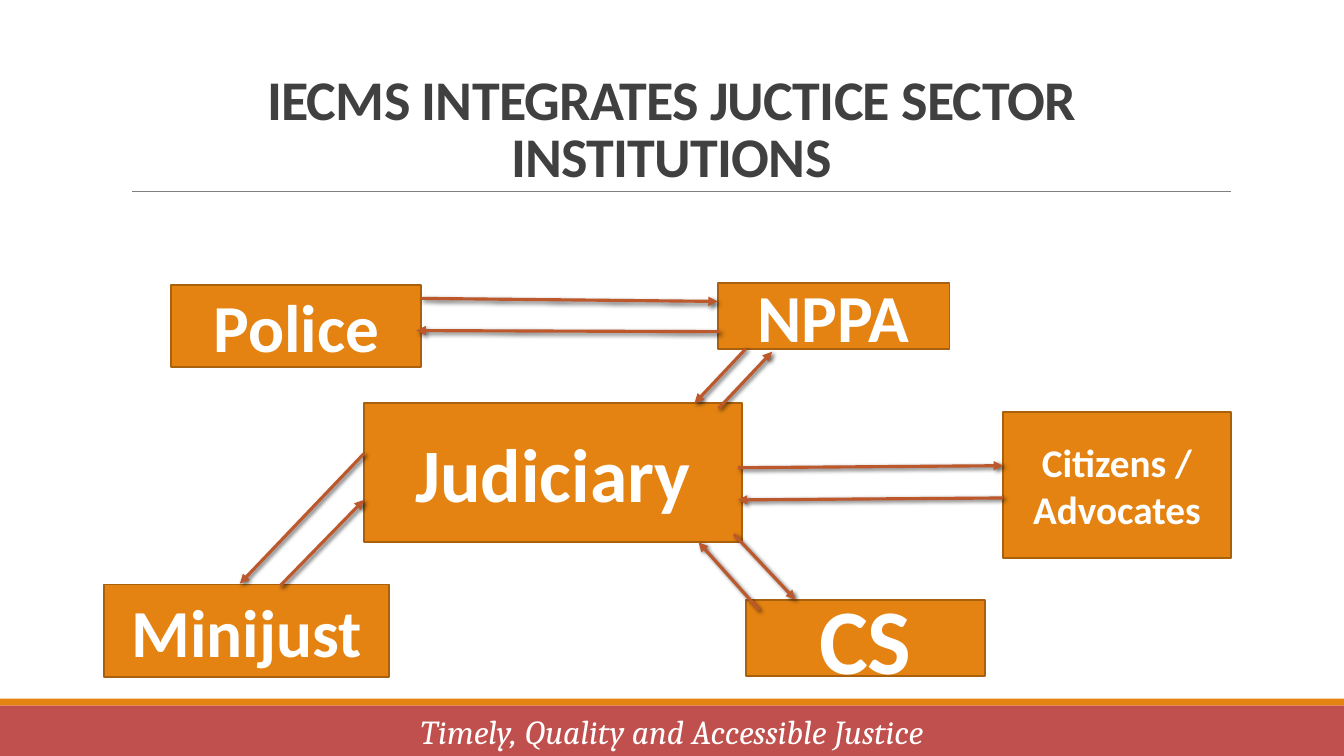
from lxml.etree import SubElement
from pptx import Presentation
from pptx.dml.color import RGBColor
from pptx.enum.shapes import MSO_CONNECTOR, MSO_SHAPE
from pptx.enum.text import MSO_ANCHOR, PP_ALIGN
from pptx.oxml.ns import qn
from pptx.util import Inches, Pt

COLORS = {
    "orange": "E48312", "edge": "A9610D", "arrow": "BD582C", "red": "C0504D",
    "rule": "808080", "title": "404040", "white": "FFFFFF", "shadow": "000000",
}

INSTITUTIONS = [
    ("Police", (12.75, 37.73, 18.6, 10.8), 48),
    ("NPPA", (53.4, 37.47, 17.25, 8.67), 48),
    ("Judiciary", (27.08, 53.33, 28.13, 18.4), 54),
    ("Minijust", (7.73, 77.33, 21.23, 12.27), 48),
    ("CS", (55.5, 79.33, 17.78, 10.13), 66),
    ("Citizens / Advocates", (74.63, 54.53, 16.95, 19.33), 28),
]

EXCHANGES = [
    ((31.35, 39.47), (53.4, 39.87)),
    ((53.48, 43.87), (30.98, 43.73)),
    ((55.5, 46.13), (51.68, 53.33)),
    ((53.48, 54), (57.45, 46.53)),
    ((27.08, 60), (17.85, 77.2)),
    ((20.85, 77.47), (27.08, 66.13)),
    ((54.6, 70.67), (59.18, 79.33)),
    ((56.48, 80.67), (51.98, 71.73)),
    ((54.9, 61.87), (74.63, 61.6)),
    ((74.63, 65.87), (54.9, 66.13)),
]


class SlideBuilder:
    columns = rows = 100

    def __init__(self, prs):
        self.s = prs.slides.add_slide(prs.slide_layouts[6])
        self.column = prs.slide_width / self.columns
        self.row = prs.slide_height / self.rows

    def grid(self, *lengths):
        units = (self.column, self.row) * 2
        return [round(n * unit) for n, unit in zip(lengths, units)]

    def color(self, name):
        return RGBColor.from_string(COLORS[name])

    def add_text(self, sp, text, size, color="white", font="Calibri",
                 bold=True, italic=False, anchor=MSO_ANCHOR.MIDDLE):
        tf = sp.text_frame
        tf.word_wrap = True
        tf.vertical_anchor = anchor
        p = tf.paragraphs[0]
        p.alignment = PP_ALIGN.CENTER
        r = p.add_run()
        r.text = text
        r.font.name = font
        r.font.size = Pt(size)
        r.font.bold = bold
        r.font.italic = italic
        r.font.color.rgb = self.color(color)
        return p, r

    def title(self, text, box):
        sp = self.s.shapes.add_textbox(*self.grid(*box))
        p, r = self.add_text(sp, text, 40, "title", anchor=MSO_ANCHOR.TOP)
        p.line_spacing = 0.85
        r.font._element.set("spc", "-50")

    def rectangle(self, box, fill, edge=None):
        sp = self.s.shapes.add_shape(MSO_SHAPE.RECTANGLE, *self.grid(*box))
        sp.shadow.inherit = False
        sp.fill.solid()
        sp.fill.fore_color.rgb = self.color(fill)
        if edge:
            sp.line.color.rgb = self.color(edge)
            sp.line.width = Pt(1.25)
        else:
            sp.line.fill.background()
        return sp

    def line(self, start, end, color, width):
        sp = self.s.shapes.add_connector(
            MSO_CONNECTOR.STRAIGHT, *self.grid(*start, *end))
        sp.line.color.rgb = self.color(color)
        sp.line.width = Pt(width)
        effects = SubElement(sp._element.spPr, qn("a:effectLst"))
        return sp, effects

    def arrow(self, start, end):
        sp, effects = self.line(start, end, "arrow", 2.25)
        SubElement(sp.line._get_or_add_ln(), qn("a:tailEnd"), type="triangle")
        shadow = SubElement(
            effects, qn("a:outerShdw"), blurRad=str(Pt(3)), dist=str(Pt(2)),
            dir=str(45 * 60000), algn="tl", rotWithShape="0")
        tint = SubElement(shadow, qn("a:srgbClr"), val=COLORS["shadow"])
        SubElement(tint, qn("a:alpha"), val="60000")


def main():
    prs = Presentation()
    prs.slide_width, prs.slide_height = Inches(13.33), Inches(7.5)
    slide = SlideBuilder(prs)
    slide.rectangle((0, 92.4, 100, 0.93), "orange")
    slide.line((9.83, 25.33), (91.58, 25.33), "rule", 0.5)
    slide.title("IECMS INTEGRATES JUCTICE SECTOR INSTITUTIONS",
                (6.9, 9.2, 86.1, 11.07))
    for name, box, size in INSTITUTIONS:
        slide.add_text(slide.rectangle(box, "orange", "edge"), name, size)
    for start, end in EXCHANGES:
        slide.arrow(start, end)
    footer = slide.rectangle((0, 93.33, 100, 6.67), "red")
    slide.add_text(footer, "Timely, Quality and Accessible Justice", 24,
                   font="Cambria", bold=False, italic=True)
    prs.save("out.pptx")


if __name__ == "__main__":
    main()
